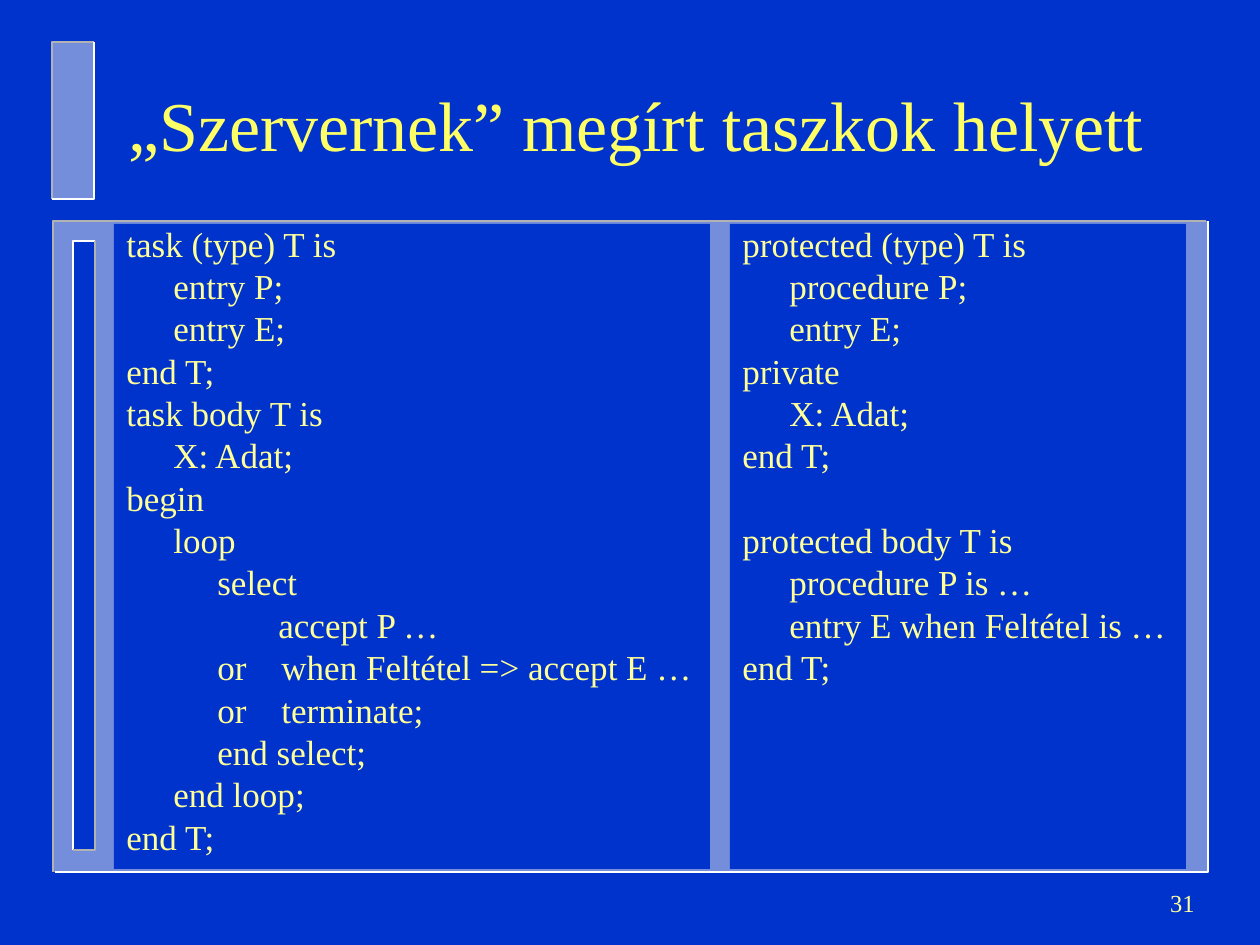
import pptx
import pptx.dml.color
import pptx.enum.shapes
import pptx.enum.text
import pptx.util
from lxml import etree

EMU_PER_PX = 914400 / 126
FONT = "Times New Roman"
COLORS = {"background": "0033CC", "panel": "EAEAEA", "shade": "B2B2B2",
          "light": "FFFFFF", "title": "FFFF66", "text": "FFFF99"}

# Content: code lines as (level, text); None leaves a gap of one line
TITLE = "„Szervernek” megírt taszkok helyett"
PAGE_NUMBER = "31"
TASK_CODE = [
    (0, "task (type) T is"), (1, "entry P;"), (1, "entry E;"), (0, "end T;"),
    (0, "task body T is"), (1, "X: Adat;"), (0, "begin"), (1, "loop"),
    (2, "select"), (3, "accept P …"),
    (2, "or\twhen Feltétel => accept E …"), (2, "or\tterminate;"),
    (2, "end select;"), (1, "end loop;"), (0, "end T;"),
]
PROTECTED_CODE = [
    (0, "protected (type) T is"), (1, "procedure P;"), (1, "entry E;"),
    (0, "private"), (1, "X: Adat;"), (0, "end T;"), None,
    (0, "protected body T is"), (1, "procedure P is …"),
    (1, "entry E when Feltétel is …"), (0, "end T;"),
]

# Layout in px: (left, top, width, height)
TITLE_BOX = (116, 48, 1071, 152)
CODE_BOXES = [((114, 224, 596, 645), TASK_CODE),
              ((730, 224, 456, 645), PROTECTED_CODE)]
NUMBER_BOX = (945, 871, 262, 63)
# box, fill, transparency, top-left edge, bottom-right edge, edge offset
BEVELS = [
    ((54, 221, 1153, 651), "panel", 50, "shade", "light", 1),
    ((73, 241, 22, 609), "background", 0, "light", "shade", 0),
    ((52, 42, 42, 157), "panel", 50, "shade", "light", 0),
]
LEVEL_INDENTS = [0, 47, 91, 152]
TAB_WIDTH = 64
LINE_GAP = 5
LINE_PITCH = 24.2

presentation = pptx.Presentation()
presentation.slide_width = pptx.util.Inches(10)
presentation.slide_height = pptx.util.Inches(7.5)
slide = presentation.slides.add_slide(presentation.slide_layouts[6])


def px(value):
    return pptx.util.Emu(round(value * EMU_PER_PX))


def rgb(name):
    return pptx.dml.color.RGBColor.from_string(COLORS[name])


def add_rectangle(box, color, transparency=0):
    shape = slide.shapes.add_shape(
        pptx.enum.shapes.MSO_SHAPE.RECTANGLE, *map(px, box))
    shape.shadow.inherit = False
    shape.fill.solid()
    shape.fill.fore_color.rgb = rgb(color)
    shape.line.fill.background()
    if transparency:
        fill_color = shape.fill._xPr.find(".//" + pptx.oxml.ns.qn("a:srgbClr"))
        alpha = etree.SubElement(fill_color, pptx.oxml.ns.qn("a:alpha"))
        alpha.set("val", str((100 - transparency) * 1000))
    return shape


def add_edge(points, color):
    builder = slide.shapes.build_freeform(*points[0], scale=EMU_PER_PX)
    builder.add_line_segments(points[1:], close=False)
    shape = builder.convert_to_shape()
    shape.shadow.inherit = False
    shape.fill.background()
    shape.line.color.rgb = rgb(color)
    shape.line.width = pptx.util.Pt(1)


def add_bevel(box, fill, transparency, top_left, bottom_right, offset):
    add_rectangle(box, fill, transparency)
    left, top, width, height = box
    right, bottom = left + width, top + height
    add_edge([(right - offset, top), (left - offset, top),
              (left - offset, bottom)], top_left)
    add_edge([(right + offset, top), (right + offset, bottom),
              (left + offset, bottom)], bottom_right)


def prepare_frame(shape, anchor):
    frame = shape.text_frame
    frame.word_wrap = True
    frame.vertical_anchor = anchor
    frame.margin_left = frame.margin_right = pptx.util.Inches(0.1)
    frame.margin_top = frame.margin_bottom = pptx.util.Inches(0.05)
    return frame


def write_text(paragraph, text, size=20, color="text", align="LEFT",
               spacing=1.0, before=0, margin=0, hanging=0):
    properties = paragraph._p.get_or_add_pPr()
    properties.set("marL", str(px(margin + hanging)))
    properties.set("indent", str(px(-hanging)))
    paragraph.alignment = getattr(pptx.enum.text.PP_ALIGN, align)
    paragraph.line_spacing = spacing
    paragraph.space_before = pptx.util.Pt(before)
    run = paragraph.add_run()
    run.text = text
    run.font.name = FONT
    run.font.size = pptx.util.Pt(size)
    run.font.color.rgb = rgb(color)


def add_label(box, text, **text_format):
    shape = slide.shapes.add_textbox(*map(px, box))
    frame = prepare_frame(shape, pptx.enum.text.MSO_ANCHOR.MIDDLE)
    write_text(frame.paragraphs[0], text, **text_format)


def add_code(box, lines):
    shape = add_rectangle(box, "background")
    frame = prepare_frame(shape, pptx.enum.text.MSO_ANCHOR.TOP)
    paragraph, before = frame.paragraphs[0], 0
    for line in lines:
        if line is None:
            before += LINE_PITCH
            continue
        level, text = line
        paragraph = paragraph or frame.add_paragraph()
        write_text(paragraph, text, spacing=0.8, before=before,
                   margin=LEVEL_INDENTS[level],
                   hanging=TAB_WIDTH if "\t" in text else 0)
        paragraph, before = None, LINE_GAP


# Background and bevelled decoration
slide.background.fill.solid()
slide.background.fill.fore_color.rgb = rgb("background")
for bevel in BEVELS:
    add_bevel(*bevel)

# Title, code columns and page number
add_label(TITLE_BOX, TITLE, size=40, color="title")
for code_box, code_lines in CODE_BOXES:
    add_code(code_box, code_lines)
add_label(NUMBER_BOX, PAGE_NUMBER, size=14, align="RIGHT")

presentation.save("out.pptx")
